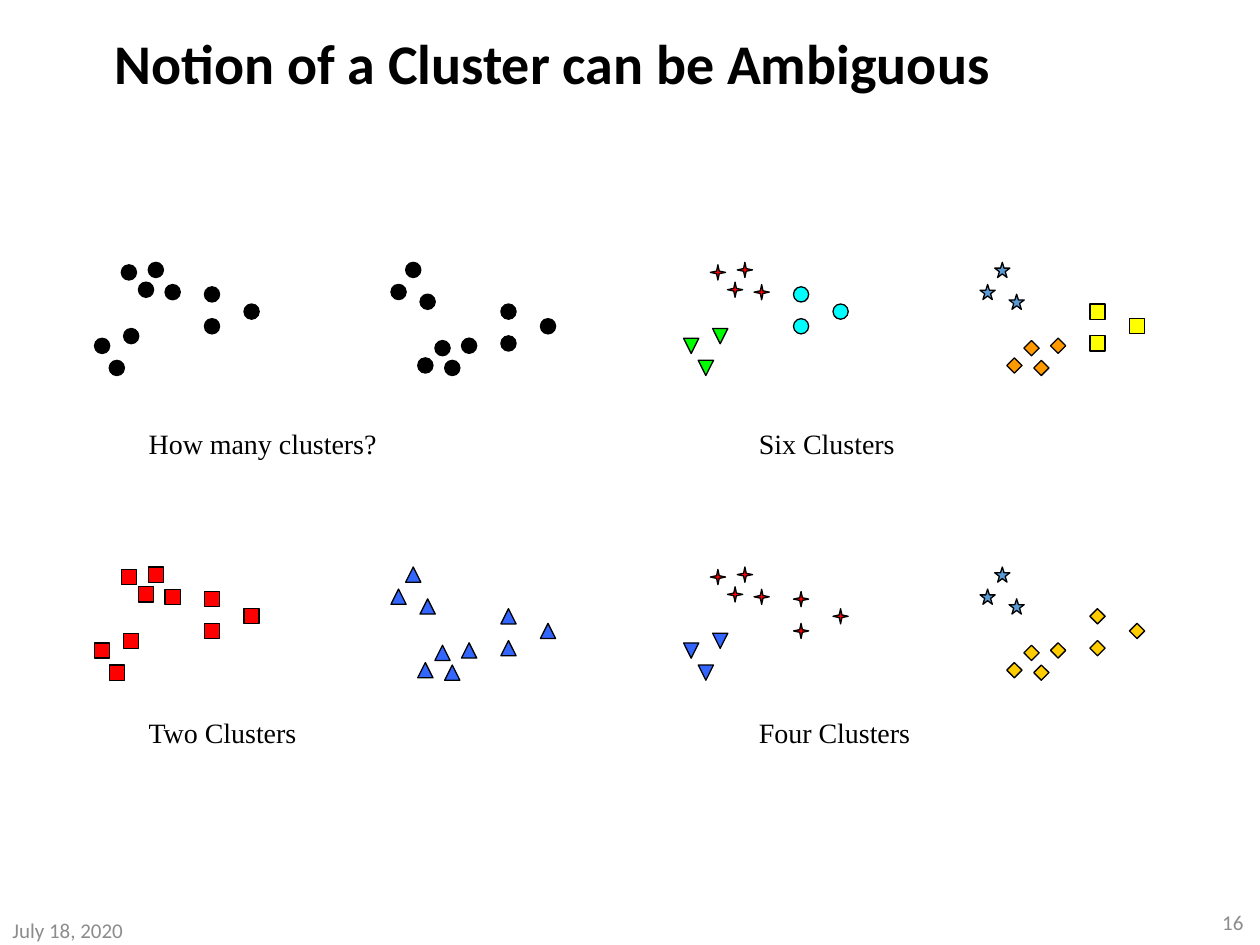
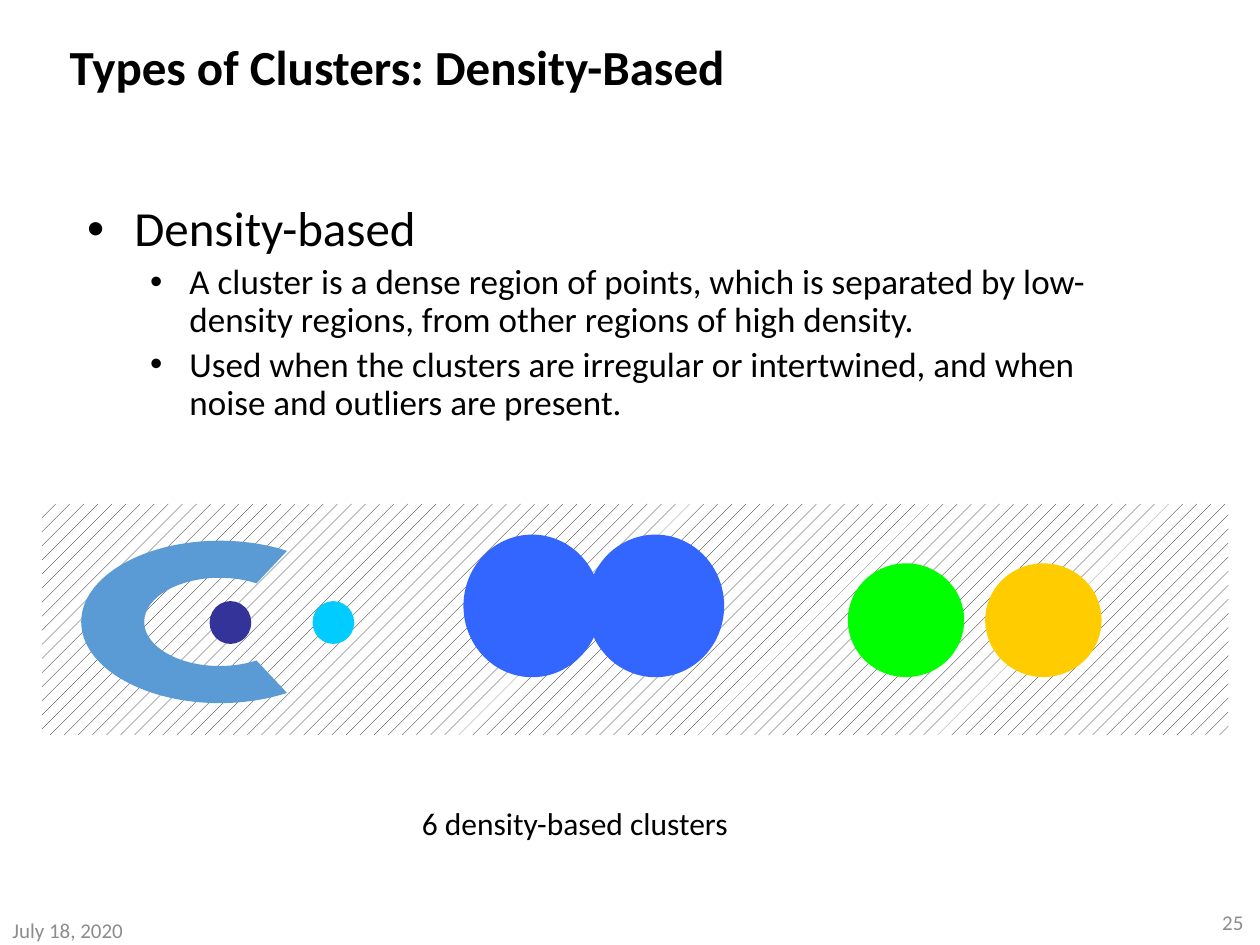
from itertools import pairwise
from math import cos, radians, sin, tan

from lxml import etree
from pptx import Presentation
from pptx.dml.color import RGBColor
from pptx.enum import dml, shapes, text
from pptx.oxml.ns import qn
from pptx.util import Pt

BLACK = RGBColor(0x00, 0x00, 0x00)
WHITE = RGBColor(0xFF, 0xFF, 0xFF)
GRAY = RGBColor(0x8C, 0x8C, 0x8C)
RED = RGBColor(0xFF, 0x00, 0x00)
LIME = RGBColor(0x00, 0xFF, 0x00)
CYAN = RGBColor(0x00, 0xFF, 0xFF)
AQUA = RGBColor(0x00, 0xCC, 0xFF)
BLUE = RGBColor(0x33, 0x66, 0xFF)
STEEL = RGBColor(0x5B, 0x9B, 0xD5)
NAVY = RGBColor(0x33, 0x33, 0x99)
GOLD = RGBColor(0xFF, 0xCC, 0x00)
AMBER = RGBColor(0xFF, 0x99, 0x00)
YELLOW = RGBColor(0xFF, 0xFF, 0x00)

SANS = "Calibri"
SERIF = "Times New Roman"
KIND = shapes.MSO_SHAPE
MID = text.MSO_ANCHOR.MIDDLE

# One point cloud: three close groups, as offsets from its top left corner.
CLOUD = [
    [(40.3, 12.7), (15.3, 1.4), (30.7, 0), (25.1, 11.3)],
    [(16.6, 37.8), (0, 43.4), (8.4, 56)],
    [(62.8, 14), (85.4, 23.8), (62.8, 32.2)],
]
CLOUD_H = 56
CLOUD_STEP = 169.4
DOT = 8.7

# Marker styles: preset shape and fill.
DISC = (KIND.OVAL, BLACK)
RING = (KIND.OVAL, CYAN)
SPARK = (KIND.STAR_4_POINT, RED)
STAR = (KIND.STAR_5_POINT, STEEL)
BOX = (KIND.RECTANGLE, RED)
TILE = (KIND.RECTANGLE, YELLOW)
PEAK = (KIND.ISOSCELES_TRIANGLE, BLUE)
DROP = (KIND.FLOWCHART_MERGE, BLUE)
LEAF = (KIND.FLOWCHART_MERGE, LIME)
GEM = (KIND.DIAMOND, GOLD)
KITE = (KIND.DIAMOND, AMBER)

# Caption, panel corner, caption corner, styles of the left and right cloud.
PANELS = [
    ("How many clusters?", (54, 149.9), (77.9, 240.1), [DISC] * 3, [DISC] * 3),
    ("Six Clusters", (390.6, 149.9), (426.6, 240.1),
     [SPARK, LEAF, RING], [KITE, STAR, TILE]),
    ("Two Clusters", (54, 324), (77.9, 405.4), [BOX] * 3, [PEAK] * 3),
    ("Four Clusters", (390.6, 324), (426.6, 405.4),
     [SPARK, DROP, SPARK], [GEM, STAR, GEM]),
]

# Round clusters: left, top, width, height, fill.
DISCS = [
    (119.8, 343.5, 23.8, 24.5, NAVY),
    (178.6, 343.5, 23.8, 24.5, AQUA),
    (484.5, 321.9, 66.5, 65, LIME),
    (563, 321.9, 66.5, 65, GOLD),
    (264.8, 305.5, 78.5, 81.5, BLUE),
    (335.3, 305.5, 78.5, 81.5, BLUE),
]

POINTS = [
    "A cluster is a dense region of points, which is separated by "
    "low-density regions, from other regions of high density.",
    "Used when the clusters are irregular or intertwined, and when noise "
    "and outliers are present.",
]


def add_run(para, words, size, face=SANS, color=BLACK, bold=False):
    run = para.add_run()
    run.text = words
    font = run.font
    font.size, font.name, font.bold = Pt(size), face, bold
    font.color.rgb = color


def add_box(slide, place):
    """Add an empty wrapping text box and return its text frame."""
    frame = slide.shapes.add_textbox(*map(Pt, place)).text_frame
    frame.word_wrap = True
    return frame


def add_label(slide, place, words, size, face=SANS, color=BLACK,
              align=text.PP_ALIGN.LEFT, anchor=text.MSO_ANCHOR.TOP):
    frame = add_box(slide, place)
    frame.vertical_anchor = anchor
    para = frame.paragraphs[0]
    para.alignment = align
    add_run(para, words, size, face, color)


def add_bullet(para, words, size, left, hang):
    para.line_spacing = 0.9
    props = para._p.get_or_add_pPr()
    props.set("marL", str(Pt(left)))
    props.set("indent", str(-Pt(hang)))
    font = etree.SubElement(props, qn("a:buFont"))
    font.set("typeface", "Arial")
    etree.SubElement(props, qn("a:buChar")).set("char", "•")
    add_run(para, words, size)


def paint(shape, fill, edge=None):
    shape.shadow.inherit = False
    shape.fill.solid()
    shape.fill.fore_color.rgb = fill
    if edge is None:
        shape.line.fill.background()
    else:
        shape.line.color.rgb = edge
        shape.line.width = Pt(0.75)


def add_slide(deck, title, size, place, number):
    """Add a slide with its title, date and page number."""
    slide = deck.slides.add_slide(deck.slide_layouts[5])
    head = slide.shapes.title
    head.left, head.top, head.width, head.height = map(Pt, place)
    frame = head.text_frame
    frame.word_wrap = True
    frame.auto_size = text.MSO_AUTO_SIZE.NONE
    frame.vertical_anchor = MID
    para = frame.paragraphs[0]
    para.alignment = text.PP_ALIGN.LEFT
    para.line_spacing = 0.9
    add_run(para, title, size, bold=True)
    add_label(slide, (0, 523.4, 162, 16.6), "July 18, 2020", 12,
              color=GRAY, anchor=MID)
    add_label(slide, (555.6, 518.4, 162, 16.6), number, 12, color=GRAY,
              align=text.PP_ALIGN.RIGHT, anchor=MID)
    return slide


def add_cloud(slide, left, top, styles, mirror=False):
    """Draw the point cloud, turned upside down if mirror is set."""
    for group, (kind, fill) in zip(CLOUD, styles):
        for x, y in group:
            y = CLOUD_H - y if mirror else y
            dot = slide.shapes.add_shape(
                kind, Pt(left + x), Pt(top + y), Pt(DOT), Pt(DOT))
            if kind == KIND.STAR_4_POINT:
                dot.adjustments[0] = 0.125
            paint(dot, fill, BLACK)


def bend(mid, rim, start, end):
    """Return the control points and the end of a curve along an ellipse."""
    pull = 4 / 3 * tan(radians(end - start) / 4)
    spots = []
    for turn, reach in ((start, pull), (end, -pull), (end, 0)):
        c, s = cos(radians(turn)), sin(radians(turn))
        spots.append((Pt(mid[0] + rim[0] * (c - reach * s)),
                      Pt(mid[1] + rim[1] * (s + reach * c))))
    return spots


def add_arc(slide, mid, outer, inner, gap, fill):
    """Draw an elliptic band that is open to the right by gap degrees each way."""
    turns = [gap, 90, 180, 270, 360 - gap]
    stops = [(outer, turn) for turn in turns]
    stops += [(inner, turn) for turn in reversed(turns)]
    spots = [bend(mid, rim, turn, turn)[-1] for rim, turn in stops]
    path = slide.shapes.build_freeform(*spots[0])
    path.add_line_segments(spots[1:], close=True)
    band = path.convert_to_shape()
    lines = list(band._element.iter(qn("a:lnTo")))
    for line, ((rim, start), (other, end)) in zip(lines, pairwise(stops)):
        if rim != other:
            continue
        curve = etree.Element(qn("a:cubicBezTo"))
        for x, y in bend(mid, rim, start, end):
            spot = etree.SubElement(curve, qn("a:pt"))
            spot.set("x", str(x - band.left))
            spot.set("y", str(y - band.top))
        line.getparent().replace(line, curve)
    paint(band, fill)


def add_noise(slide, place):
    """Draw the patterned background of sparse points."""
    field = slide.shapes.add_shape(KIND.RECTANGLE, *map(Pt, place))
    field.shadow.inherit = False
    field.line.fill.background()
    field.fill.patterned()
    field.fill.pattern = dml.MSO_PATTERN.PERCENT_10
    field.fill.fore_color.rgb = BLACK
    field.fill.back_color.rgb = WHITE


def build_notion(deck):
    slide = add_slide(deck, "Notion of a Cluster can be Ambiguous", 32,
                      (58.3, 19.4, 620.6, 37.4), "16")
    for words, (x, y), spot, left, right in PANELS:
        add_cloud(slide, x, y, left)
        add_cloud(slide, x + CLOUD_STEP, y, right, mirror=True)
        add_label(slide, (*spot, 180, 26.6), words, 16, SERIF)


def build_density(deck):
    slide = add_slide(deck, "Types of Clusters: Density-Based", 28,
                      (32.6, 14.4, 620.6, 51.1), "25")
    frame = add_box(slide, (42.7, 113.4, 620.6, 342.7))
    add_bullet(frame.paragraphs[0], "Density-based", 28, 27, 27)
    for words in POINTS:
        para = frame.add_paragraph()
        para.level = 1
        para.space_before = Pt(4)
        add_bullet(para, words, 20, 58.5, 22.5)
    add_noise(slide, (24, 288, 678, 132))
    add_arc(slide, (125.6, 355.4), (79.2, 46.4), (43.2, 25.2), 61, STEEL)
    for *place, fill in DISCS:
        paint(slide.shapes.add_shape(KIND.OVAL, *map(Pt, place)), fill)
    add_label(slide, (234, 455.8, 252, 28.8), "6 density-based clusters", 18)


def main():
    deck = Presentation()
    deck.slide_width, deck.slide_height = Pt(720), Pt(540)
    build_notion(deck)
    build_density(deck)
    deck.save("out.pptx")


if __name__ == "__main__":
    main()
